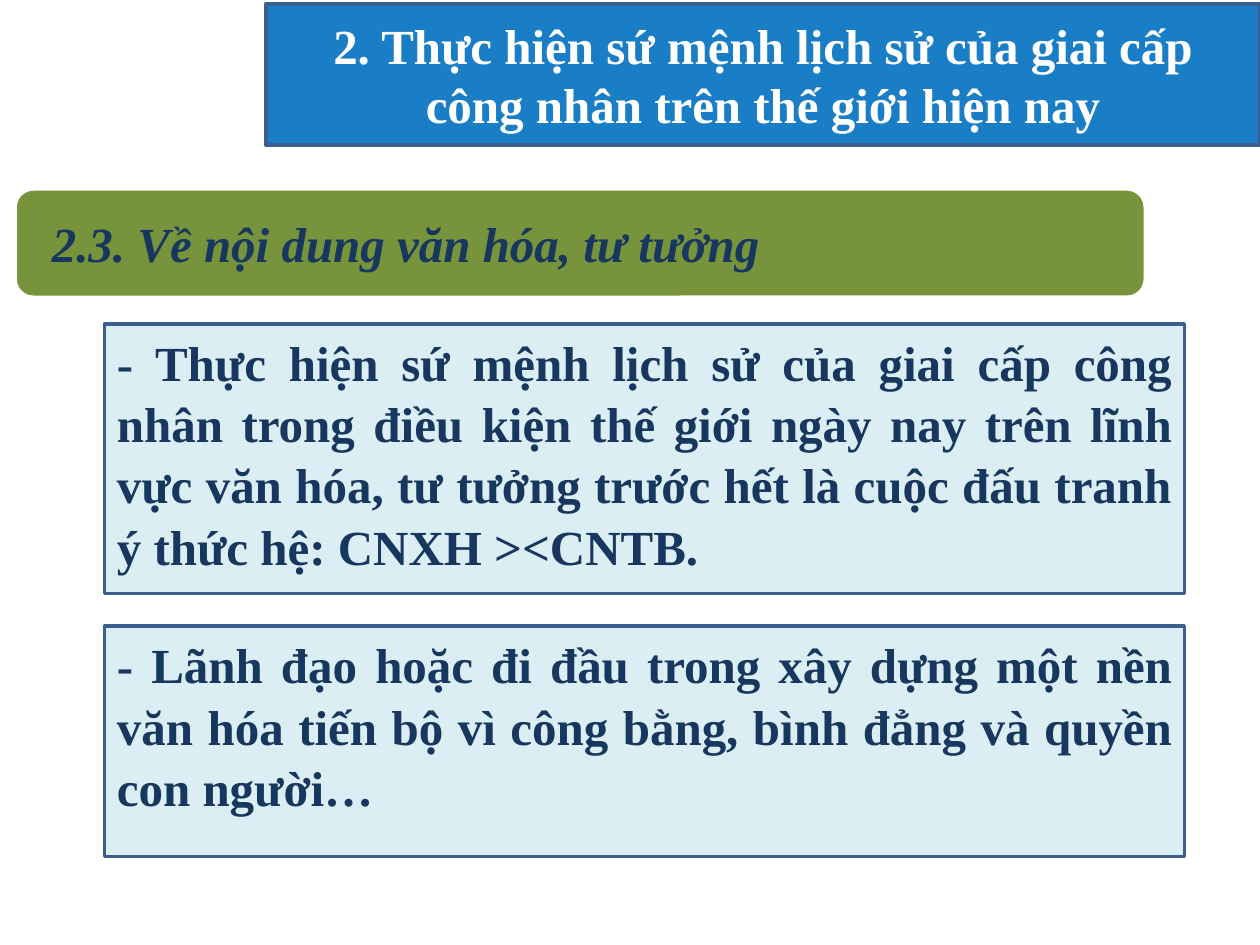
from lxml import etree
from pptx import Presentation
from pptx.dml.color import RGBColor
from pptx.enum.shapes import MSO_SHAPE
from pptx.enum.text import MSO_ANCHOR, MSO_AUTO_SIZE, PP_ALIGN
from pptx.oxml.ns import qn
from pptx.util import Inches, Pt

RECT, ROUND = MSO_SHAPE.RECTANGLE, MSO_SHAPE.ROUNDED_RECTANGLE
TOP, MIDDLE = MSO_ANCHOR.TOP, MSO_ANCHOR.MIDDLE
LEFT, CENTER, JUSTIFY = PP_ALIGN.LEFT, PP_ALIGN.CENTER, PP_ALIGN.JUSTIFY
NO_FIT = MSO_AUTO_SIZE.NONE

COLORS = {"blue": "0070C0", "green": "77933C", "pale": "DBEEF4",
          "navy": "17375E", "edge": "3A5F8C", "white": "FFFFFF"}
FONT = {"name": "Times New Roman", "size": Pt(28), "bold": True}
BODY_LEFT, BODY_WIDTH = 0.83, 8.57
BODIES = [
    (2.57, 2.14, "- Thực hiện sứ mệnh lịch sử của giai cấp công nhân trong điều kiện "
     "thế giới ngày nay trên lĩnh vực văn hóa, tư tưởng trước hết là cuộc đấu tranh "
     "ý thức hệ: CNXH ><CNTB."),
    (4.97, 1.83, "- Lãnh đạo hoặc đi đầu trong xây dựng một nền văn hóa tiến bộ "
     "vì công bằng, bình đẳng và quyền con người…"),
]


def rgb(name):
    """Return the named colour."""
    return RGBColor.from_string(COLORS[name])


def paint(sp, fill, line):
    """Give a shape its fill and outline."""
    sp.fill.solid()
    sp.fill.fore_color.rgb = rgb(fill)
    sp.line.color.rgb = rgb(line)
    sp.line.width = Pt(2)


def write(sp, text, color, align, anchor, italic=False):
    """Put one formatted paragraph in a shape and return it."""
    tf = sp.text_frame
    for key, value in {"word_wrap": True, "auto_size": NO_FIT,
                       "vertical_anchor": anchor}.items():
        setattr(tf, key, value)
    p = tf.paragraphs[0]
    p.alignment = align
    r = p.add_run()
    r.text = text
    for key, value in {**FONT, "italic": italic}.items():
        setattr(r.font, key, value)
    r.font.color.rgb = rgb(color)
    return p


def add_box(s, kind, box, fill, line):
    """Add a painted shape without shadow."""
    sp = s.shapes.add_shape(kind, *map(Inches, box))
    sp.shadow.inherit = False
    paint(sp, fill, line)
    return sp


def format_title(s, text):
    """Turn the title placeholder into a rounded translucent banner."""
    sp = s.shapes.title
    sp.left, sp.top, sp.width, sp.height = map(Inches, (2.11, 0.03, 7.89, 1.12))
    geom = etree.Element(qn("a:prstGeom"), prst="roundRect")
    etree.SubElement(geom, qn("a:avLst"))
    sp._element.spPr.find(qn("a:xfrm")).addnext(geom)
    paint(sp, "blue", "edge")
    fill = sp._element.spPr.find(qn("a:solidFill"))
    etree.SubElement(fill[0], qn("a:alpha"), val="90000")
    write(sp, text, "white", CENTER, MIDDLE)


def add_heading(s, text):
    """Add the green section heading."""
    sp = add_box(s, ROUND, (0.12, 1.5, 8.97, 0.86), "green", "white")
    sp.text_frame.margin_left = Inches(0.25)
    write(sp, text, "navy", LEFT, MIDDLE, italic=True)


def add_body(s, top, height, text):
    """Add a pale box with a justified paragraph."""
    sp = add_box(s, RECT, (BODY_LEFT, top, BODY_WIDTH, height), "pale", "edge")
    p = write(sp, text, "navy", JUSTIFY, TOP)
    p.line_spacing = Pt(35)


def main():
    """Build and save the slide."""
    prs = Presentation()
    prs.slide_width, prs.slide_height = Inches(10), Inches(7.5)
    s = prs.slides.add_slide(prs.slide_layouts[5])
    format_title(s, "2. Thực hiện sứ mệnh lịch sử của giai cấp công nhân "
                    "trên thế giới hiện nay")
    add_heading(s, "2.3. Về nội dung văn hóa, tư tưởng")
    for top, height, text in BODIES:
        add_body(s, top, height, text)
    prs.save("out.pptx")


if __name__ == "__main__":
    main()
